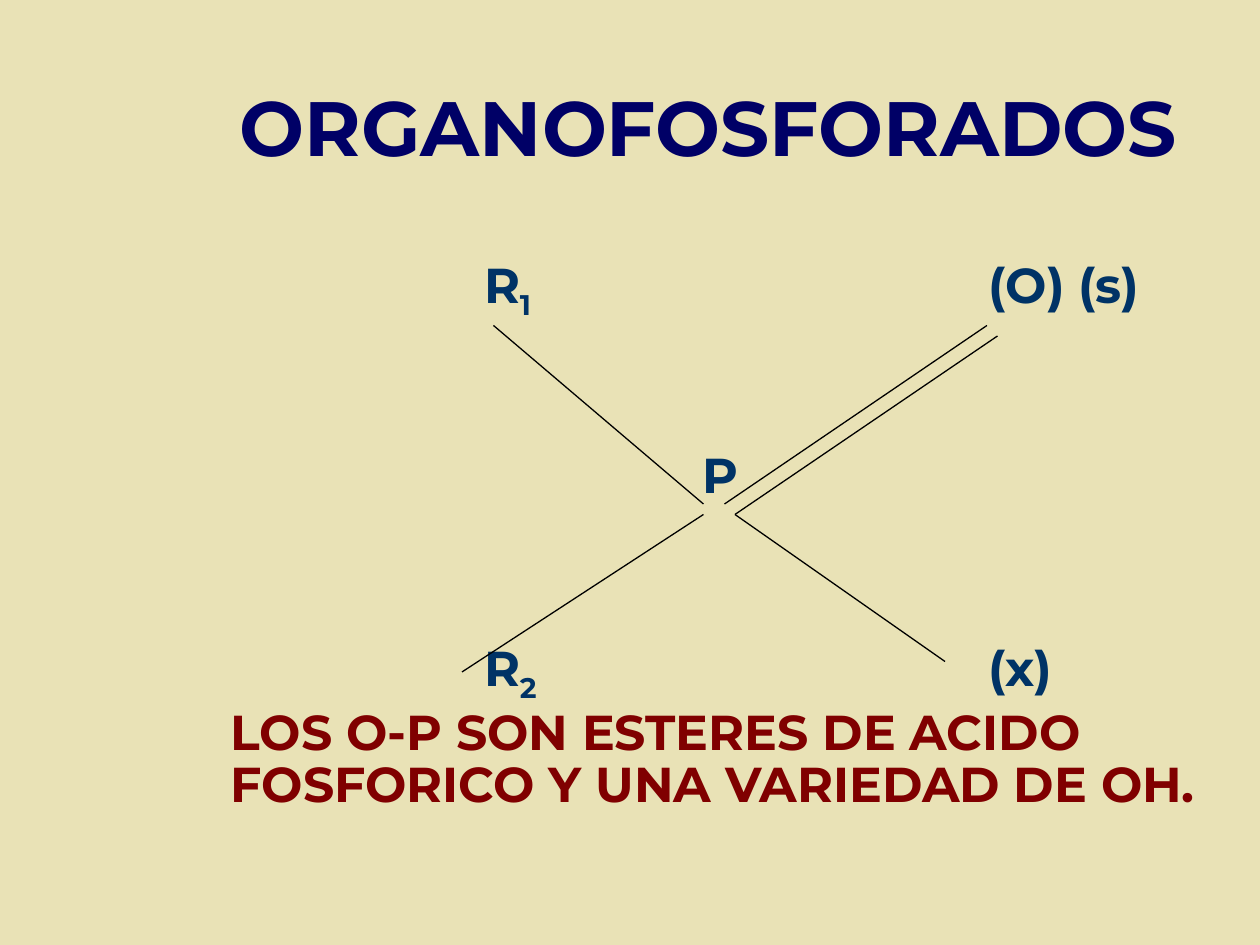
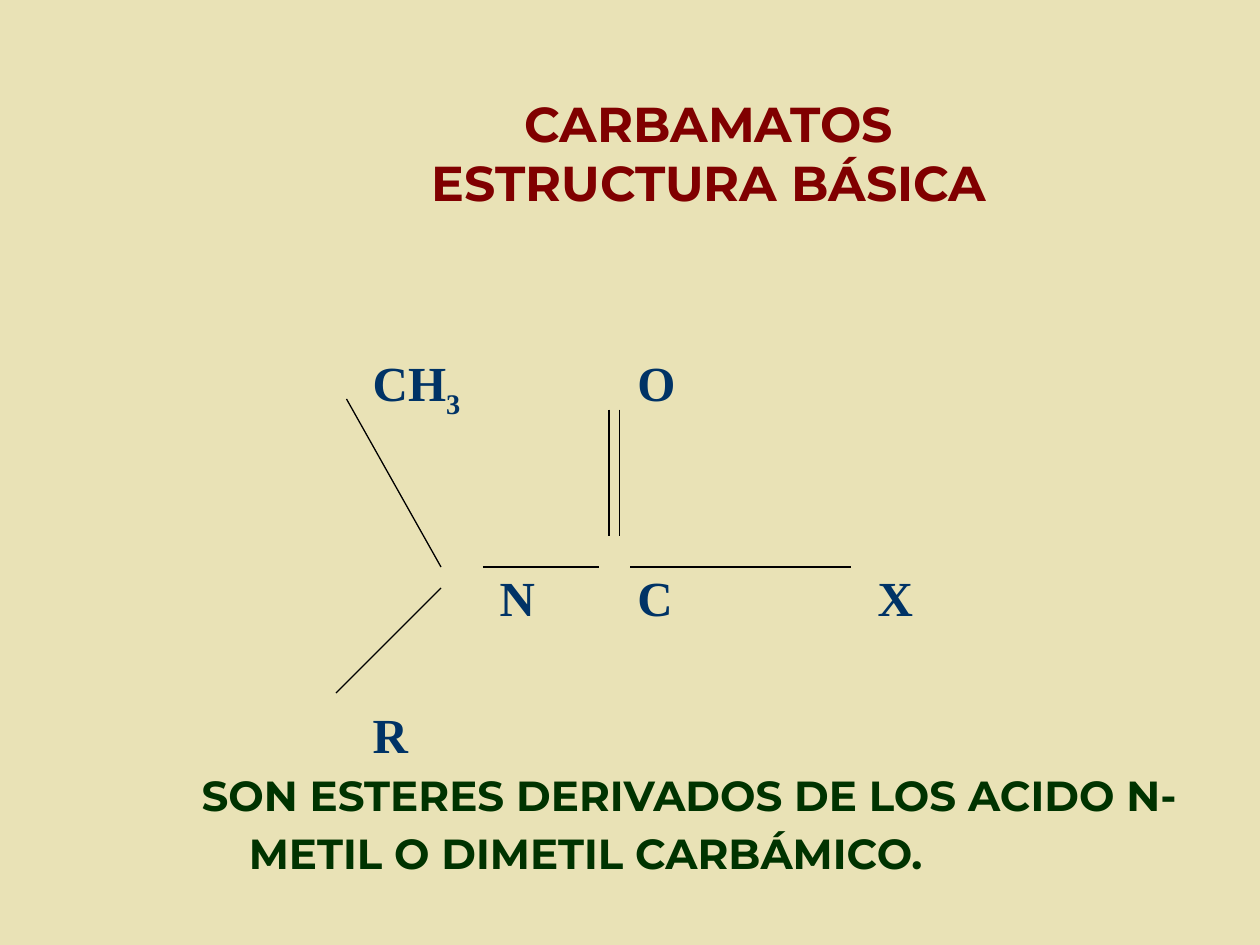
"""Build two slides on the chemical structure of organophosphates and carbamates."""
from dataclasses import dataclass

from lxml import etree
from pptx import Presentation
from pptx.dml.color import RGBColor
from pptx.enum.shapes import MSO_CONNECTOR
from pptx.enum.text import MSO_ANCHOR, PP_ALIGN
from pptx.oxml.ns import qn
from pptx.util import Pt

STRAIGHT = MSO_CONNECTOR.STRAIGHT
TOP, MIDDLE = MSO_ANCHOR.TOP, MSO_ANCHOR.MIDDLE
LEFT, CENTER = PP_ALIGN.LEFT, PP_ALIGN.CENTER
PX = 7620


@dataclass(frozen=True)
class Theme:
    sand: str = "E9E2B6"
    navy: str = "000066"
    blue: str = "003366"
    maroon: str = "800000"
    green: str = "003300"
    black: str = "000000"
    sans: str = "Montserrat"
    serif: str = "Times New Roman"
    title: int = 44
    body: int = 28
    note: int = 24
    bond: float = 0.75


T = Theme()


def add_text(s, text, x, y, w, h, sub="", size=T.body, font=T.sans, color=T.blue,
             align=LEFT, anchor=TOP, spacing=1.0, hang=0):
    sp = s.shapes.add_textbox(x * PX, y * PX, w * PX, h * PX)
    tf = sp.text_frame
    tf.word_wrap = True
    tf.vertical_anchor = anchor
    tf.margin_left = tf.margin_right = tf.margin_top = tf.margin_bottom = 0
    tf.text = text
    if sub:
        r = tf.paragraphs[-1].add_run()
        r.text = sub
        r._r.get_or_add_rPr().set("baseline", "-25000")
    for p in tf.paragraphs:
        p.alignment = align
        p.line_spacing = spacing
        if hang:
            pPr = p._p.get_or_add_pPr()
            pPr.set("marL", str(hang * PX))
            pPr.set("indent", str(-hang * PX))
        for r in p.runs:
            r.font.name = font
            r.font.size = Pt(size)
            r.font.bold = True
            r.font.color.rgb = RGBColor.from_string(color)


def add_structure(s, atoms, bonds, font):
    for text, sub, x, y in atoms:
        add_text(s, text, x, y, 180, 57, sub=sub, font=font)
    for x1, y1, x2, y2 in bonds:
        cxn = s.shapes.add_connector(STRAIGHT, x1 * PX, y1 * PX, x2 * PX, y2 * PX)
        cxn.line.width = Pt(T.bond)
        cxn.line.color.rgb = RGBColor.from_string(T.black)
        etree.SubElement(cxn._element.spPr, qn("a:effectLst"))


prs = Presentation()
prs.slide_width, prs.slide_height = 1200 * PX, 900 * PX
fill = prs.slide_master.background.fill
fill.solid()
fill.fore_color.rgb = RGBColor.from_string(T.sand)
blank = prs.slide_layouts[6]

s = prs.slides.add_slide(blank)
add_text(s, "ORGANOFOSFORADOS", 180, 70, 990, 100, size=T.title, color=T.navy,
         align=CENTER, anchor=MIDDLE)
atoms = [("R", "1", 461, 242), ("(O) (s)", "", 941, 242), ("P", "", 669, 423),
         ("R", "2", 461, 607), ("(x)", "", 941, 607)]
bonds = [(700, 490, 950, 320), (670, 490, 440, 640), (670, 480, 470, 310),
         (690, 480, 940, 310), (700, 490, 900, 630)]
add_structure(s, atoms, bonds, T.sans)
add_text(s, "LOS O-P SON ESTERES DE ACIDO FOSFORICO Y UNA VARIEDAD DE OH.",
         220, 674, 953, 105, color=T.maroon, spacing=0.9)

s = prs.slides.add_slide(blank)
add_text(s, "CARBAMATOS\nESTRUCTURA BÁSICA", 180, 70, 990, 150, color=T.maroon,
         align=CENTER, anchor=MIDDLE)
atoms = [("CH", "3", 355, 336), ("O", "", 607, 336), ("N", "", 476, 540),
         ("C", "", 607, 540), ("X", "", 836, 540), ("R", "", 355, 671)]
bonds = [(330, 380, 420, 540), (420, 560, 320, 660), (460, 540, 570, 540),
         (600, 540, 810, 540), (590, 390, 590, 510), (580, 390, 580, 510)]
add_structure(s, atoms, bonds, T.serif)
add_text(s, "SON ESTERES DERIVADOS DE LOS ACIDO N-METIL O DIMETIL CARBÁMICO.",
         192, 726, 976, 112, size=T.note, color=T.green, spacing=Pt(33), hang=45)

prs.save("out.pptx")
